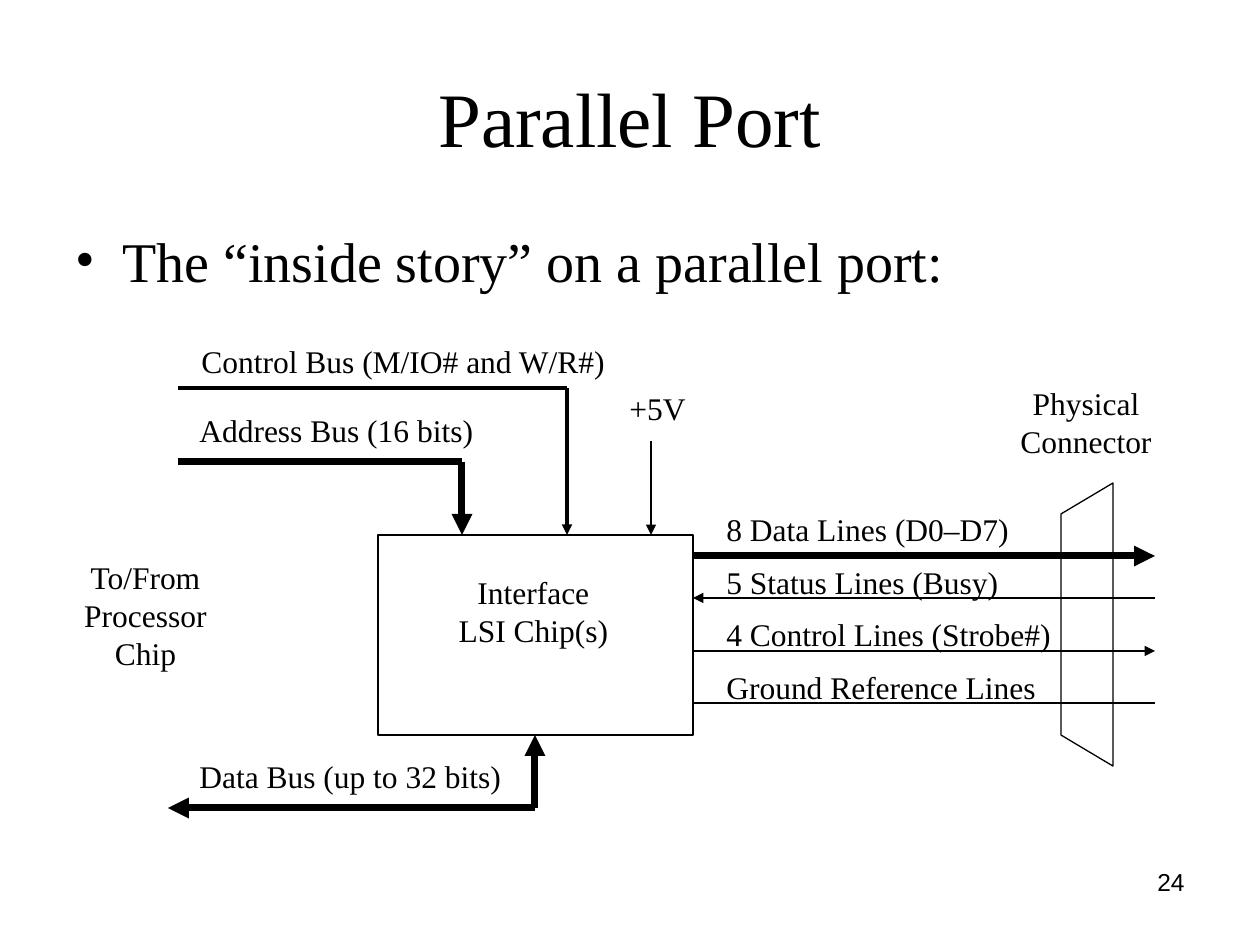
"""Build the Parallel Port block diagram slide."""
from lxml.etree import SubElement
from pptx import Presentation
from pptx.dml.color import RGBColor
from pptx.enum.shapes import MSO_CONNECTOR as Connector, MSO_SHAPE as Preset
from pptx.enum.text import MSO_ANCHOR as Anchor, MSO_AUTO_SIZE as AutoSize, PP_ALIGN as Align
from pptx.oxml.ns import qn
from pptx.util import Pt

SCALE = 914400 / 126
COLORS = {"ink": "000000"}
INK = RGBColor.from_string(COLORS["ink"])
SERIF = "Times New Roman"


def add_text(left, top, width, height, lines, align=Align.LEFT, size=18, font=SERIF, wrap=False):
    box = page.shapes.add_textbox(*[round(v * SCALE) for v in (left, top, width, height)])
    box.text_frame.word_wrap = wrap
    box.text_frame.auto_size = AutoSize.NONE if wrap else AutoSize.SHAPE_TO_FIT_TEXT
    box.text_frame.text = "\n".join(lines)
    for para in box.text_frame.paragraphs:
        para.alignment = align
        span = para.runs[0]
        for name, value in {"name": font, "size": Pt(size)}.items():
            setattr(span.font, name, value)
        span.font.color.rgb = INK
    return box


def add_line(start, end, weight, arrow=None):
    line = page.shapes.add_connector(
        Connector.STRAIGHT, *[round(v * SCALE) for v in (*start, *end)])
    line.line.width = Pt(weight)
    line.line.color.rgb = INK
    if arrow:
        SubElement(line.line._get_or_add_ln(), qn(f"a:{arrow}"), type="triangle")
    SubElement(line._element.spPr, qn("a:effectLst"))


deck = Presentation()
deck.slide_width, deck.slide_height = round(1260 * SCALE), round(945 * SCALE)
page = deck.slides.add_slide(deck.slide_layouts[6])

title = add_text(63, 38, 1134, 157, ["Parallel Port"], Align.CENTER, 44, wrap=True)
title.text_frame.vertical_anchor = Anchor.MIDDLE

body = add_text(63, 220, 1134, 624, ["The “inside story” on a parallel port:"], size=32, wrap=True)
bullet = body.text_frame.paragraphs[0]._p.get_or_add_pPr()
for name, value in {"marL": 47, "indent": -47}.items():
    bullet.set(name, str(round(value * SCALE)))
SubElement(bullet, qn("a:buFont"), typeface=SERIF)
SubElement(bullet, qn("a:buChar"), char="•")

add_text(903, 861, 294, 65, ["24"], Align.RIGHT, 14, "Arial", True)

chip = page.shapes.add_shape(
    Preset.RECTANGLE, *[round(v * SCALE) for v in (378, 535, 315, 200)])
outline = page.shapes.build_freeform(1113, 483, scale=SCALE)
outline.add_line_segments([(1061, 514), (1061, 735), (1113, 766)], close=True)
for shape in (chip, outline.convert_to_shape()):
    shape.shadow.inherit = False
    shape.fill.background()
    shape.line.color.rgb = INK
    shape.line.width = Pt(0.75)

for start, end, weight, arrow in [
    ((178, 388), (567, 388), 2, None),
    ((567, 388), (567, 535), 2, "tailEnd"),
    ((178, 462), (462, 462), 4, None),
    ((462, 462), (462, 535), 4, "tailEnd"),
    ((168, 808), (535, 808), 4, "headEnd"),
    ((535, 808), (535, 735), 4, "tailEnd"),
    ((651, 441), (651, 535), 0.75, "tailEnd"),
]:
    add_line(start, end, weight, arrow)

for y, label_top, width, label, weight, arrow in [
    (556, 504, 311, "8 Data Lines (D0–D7)", 4, "tailEnd"),
    (598, 557, 301, "5 Status Lines (Busy)", 0.75, "headEnd"),
    (651, 609, 353, "4 Control Lines (Strobe#)", 0.75, "tailEnd"),
    (703, 662, 338, "Ground Reference Lines", 0.75, None),
]:
    add_line((693, y), (1155, y), weight, arrow)
    add_text(714, label_top, width, 50, [label])

for left, top, width, label in [
    (189, 336, 434, "Control Bus (M/IO# and W/R#)"),
    (187, 405, 303, "Address Bus (16 bits)"),
    (187, 751, 330, "Data Bus (up to 32 bits)"),
    (617, 383, 85, "+5V"),
]:
    add_text(left, top, width, 50, [label])

for left, top, width, height, lines in [
    (444, 567, 179, 88, ["Interface", "LSI Chip(s)"]),
    (70, 552, 151, 126, ["To/From", "Processor", "Chip"]),
    (1006, 378, 160, 88, ["Physical", "Connector"]),
]:
    add_text(left, top, width, height, lines, Align.CENTER)

deck.save("out.pptx")
